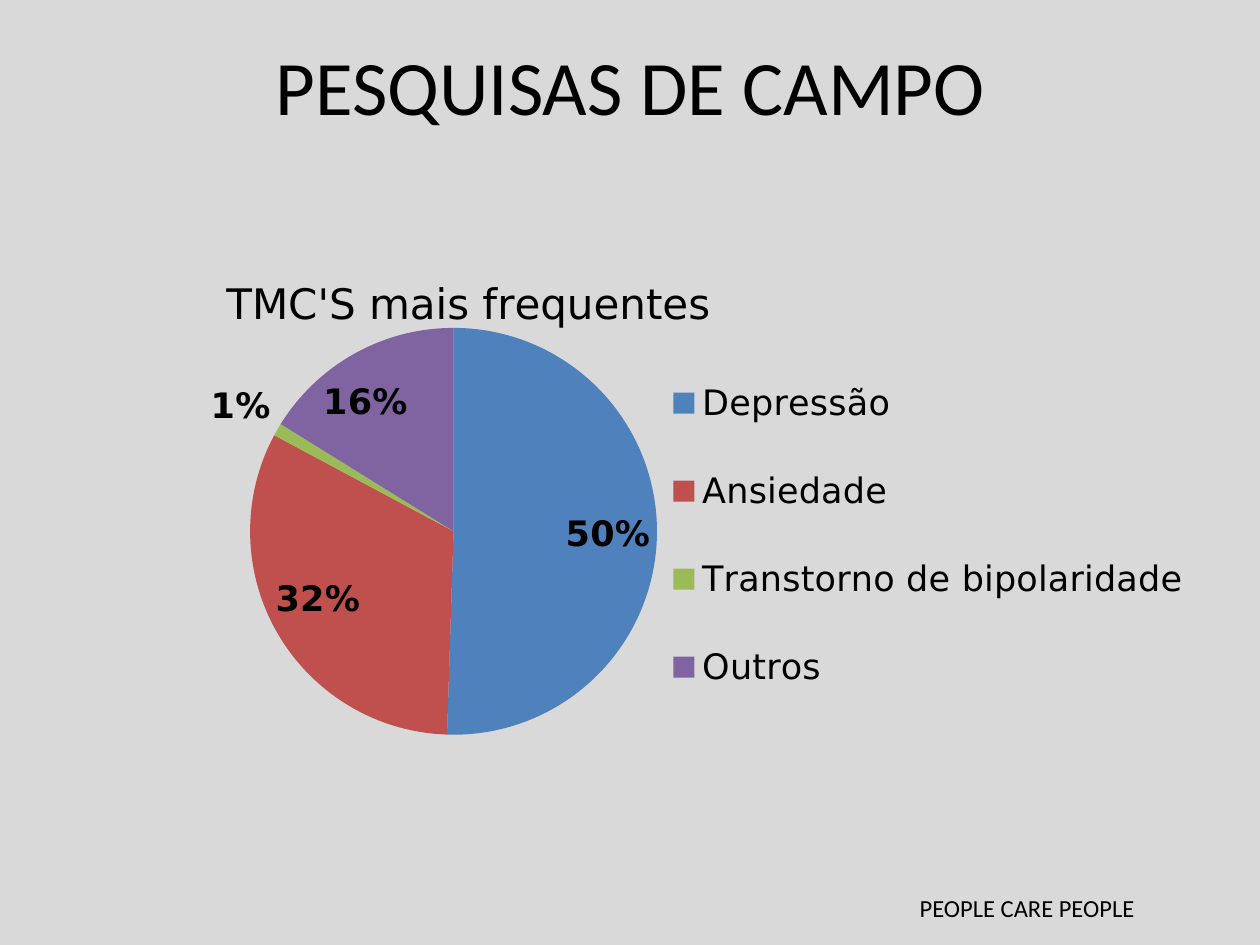
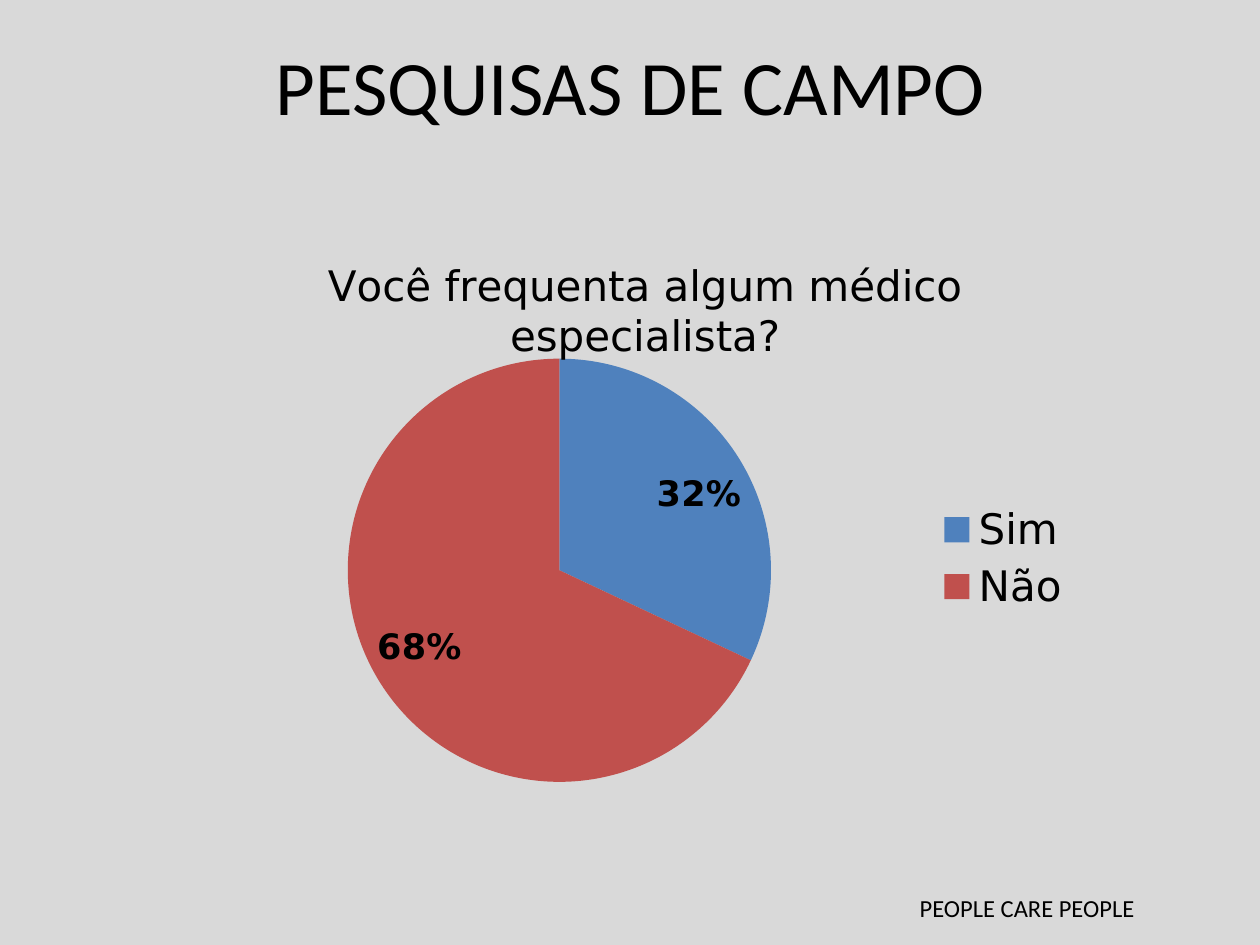
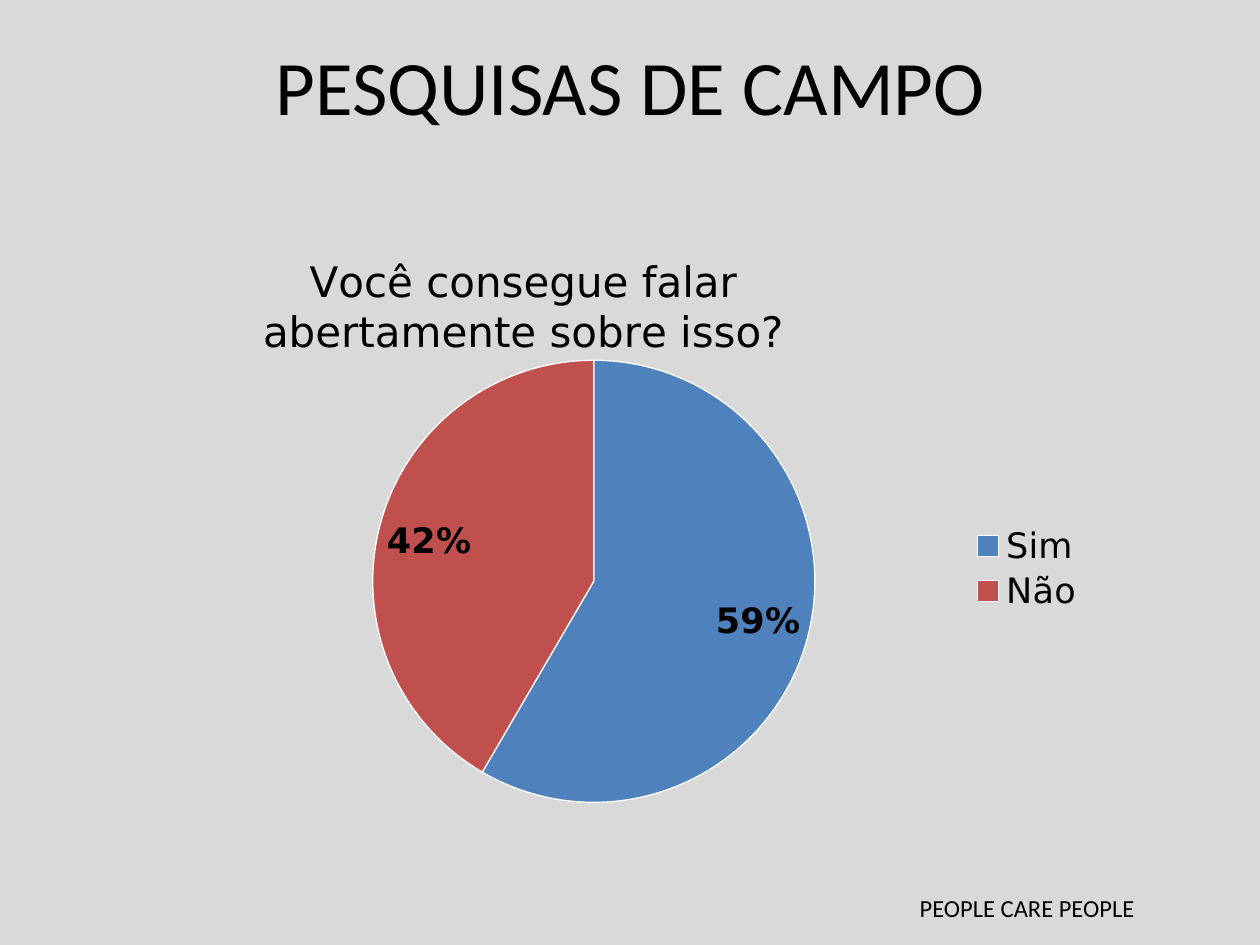
from lxml import etree
from pptx import Presentation
from pptx.chart.data import CategoryChartData
from pptx.dml.color import RGBColor
from pptx.enum.chart import XL_CHART_TYPE, XL_LABEL_POSITION, XL_LEGEND_POSITION
from pptx.enum.text import MSO_ANCHOR, PP_ALIGN
from pptx.oxml.ns import qn
from pptx.util import Cm, Pt

PIE = XL_CHART_TYPE.PIE
BEST_FIT = XL_LABEL_POSITION.BEST_FIT
RIGHT = XL_LEGEND_POSITION.RIGHT
MIDDLE, CENTER = MSO_ANCHOR.MIDDLE, PP_ALIGN.CENTER

COLORS = {"background": "D9D9D9", "text": "000000", "border": "FFFFFF"}
SLICES = ["4F81BD", "C0504D", "9BBB59", "8064A2"]
TEXT_FONT, CHART_FONT = "Calibri", "DejaVu Sans"

# Content: boxes in cm; layouts are fractions of the chart (x, y, width, height)
TITLE = "PESQUISAS DE CAMPO"
TITLE_BOX = (3, 0, 19.43, 3.4)
FOOTER = "PEOPLE CARE PEOPLE"
FOOTER_BOX = (18.29, 17.88, 5.74, 0.86)
CHARTS = [
    {"title": "TMC'S mais frequentes",
     "data": {"Depressão": 50, "Ansiedade": 32,
              "Transtorno de bipolaridade": 1, "Outros": 16},
     "box": (2.69, 2.51, 21.51, 15.19), "legend_size": 20, "border": False,
     "layout": {"title": (0.08, 0.19), "plotArea": (0.1, 0.27, 0.4, 0.54),
                "legend": (0.5, 0.28, 0.49, 0.53)}},
    {"title": "Você frequenta algum médico especialista?",
     "data": {"Sim": 32, "Não": 68},
     "box": (4.88, 3.94, 17.53, 12.19), "legend_size": 24, "border": False,
     "layout": {"title": (0.09, 0.09), "plotArea": (0.12, 0.27, 0.49, 0.7),
                "legend": (0.8, 0.5, 0.15, 0.2)}},
    {"title": "Você consegue falar abertamente sobre isso?",
     "data": {"Sim": 59, "Não": 42},
     "box": (4.24, 3.94, 18.19, 12.65), "legend_size": 20, "border": True,
     "layout": {"title": (0.05, 0.08), "plotArea": (0.18, 0.26, 0.49, 0.71),
                "legend": (0.84, 0.52, 0.13, 0.15)}},
]


def color(name):
    return RGBColor.from_string(COLORS[name])


def set_font(font, size, name=CHART_FONT, bold=False):
    for key, value in {"size": Pt(size), "name": name, "bold": bold}.items():
        setattr(font, key, value)
    font.color.rgb = color("text")


def set_layout(chart, part, fractions):
    """Place the title, plot area or legend by hand within the chart."""
    parent = next(chart.element.iter(qn("c:" + part)))
    for old in parent.findall(qn("c:layout")):
        parent.remove(old)
    layout = etree.Element(qn("c:layout"))
    manual = etree.SubElement(layout, qn("c:manualLayout"))
    values = {"layoutTarget": "inner"} if part == "plotArea" else {}
    values.update(xMode="edge", yMode="edge")
    values.update(zip("xywh", fractions))
    for tag, value in values.items():
        etree.SubElement(manual, qn("c:" + tag)).set("val", str(value))
    parent.insert(0 if part == "plotArea" else 1, layout)


def add_footer(s, master):
    """Build the footer and move it to the master, so every slide shows it."""
    sp = s.shapes.add_textbox(*map(Cm, FOOTER_BOX))
    sp.text_frame.word_wrap = True
    r = sp.text_frame.paragraphs[0].add_run()
    r.text = FOOTER
    set_font(r.font, 14, TEXT_FONT)
    master.shapes.element.append(sp.element)


def add_title(s):
    sp = s.shapes.title
    sp.left, sp.top, sp.width, sp.height = map(Cm, TITLE_BOX)
    sp.text_frame.vertical_anchor = MIDDLE
    p = sp.text_frame.paragraphs[0]
    p.alignment = CENTER
    r = p.add_run()
    r.text = TITLE
    set_font(r.font, 44, TEXT_FONT)


def add_pie(s, item):
    data = CategoryChartData()
    data.categories = list(item["data"])
    data.add_series(item["title"], list(item["data"].values()))
    chart = s.shapes.add_chart(PIE, *map(Cm, item["box"]), data).chart
    set_font(chart.font, 18, TEXT_FONT)

    # Title and legend
    p = chart.chart_title.text_frame.paragraphs[0]
    r = p.add_run()
    r.text = item["title"]
    set_font(r.font, 24)
    chart.has_legend = True
    chart.legend.position = RIGHT
    chart.legend.include_in_layout = False
    set_font(chart.legend.font, item["legend_size"])

    # Slices and their labels
    plot = chart.plots[0]
    plot.vary_by_categories = True
    for i in range(len(item["data"])):
        fmt = plot.series[0].points[i].format
        fmt.fill.solid()
        fmt.fill.fore_color.rgb = RGBColor.from_string(SLICES[i])
        if item["border"]:
            fmt.line.color.rgb = color("border")
            fmt.line.width = Pt(0.75)
        else:
            fmt.line.fill.background()
    labels = plot.series[0].data_labels
    for key, value in {"show_value": True, "number_format": '0"%"',
                       "number_format_is_linked": False,
                       "position": BEST_FIT}.items():
        setattr(labels, key, value)
    set_font(labels.font, 20, bold=True)

    for part, fractions in item["layout"].items():
        set_layout(chart, part, fractions)


def main():
    prs = Presentation()
    prs.slide_width, prs.slide_height = Cm(25.4), Cm(19.05)
    master = prs.slide_master
    master.background.fill.solid()
    master.background.fill.fore_color.rgb = color("background")
    for number, item in enumerate(CHARTS):
        s = prs.slides.add_slide(prs.slide_layouts[5])
        if number == 0:
            add_footer(s, master)
        add_title(s)
        add_pie(s, item)
    prs.save("out.pptx")


if __name__ == "__main__":
    main()
